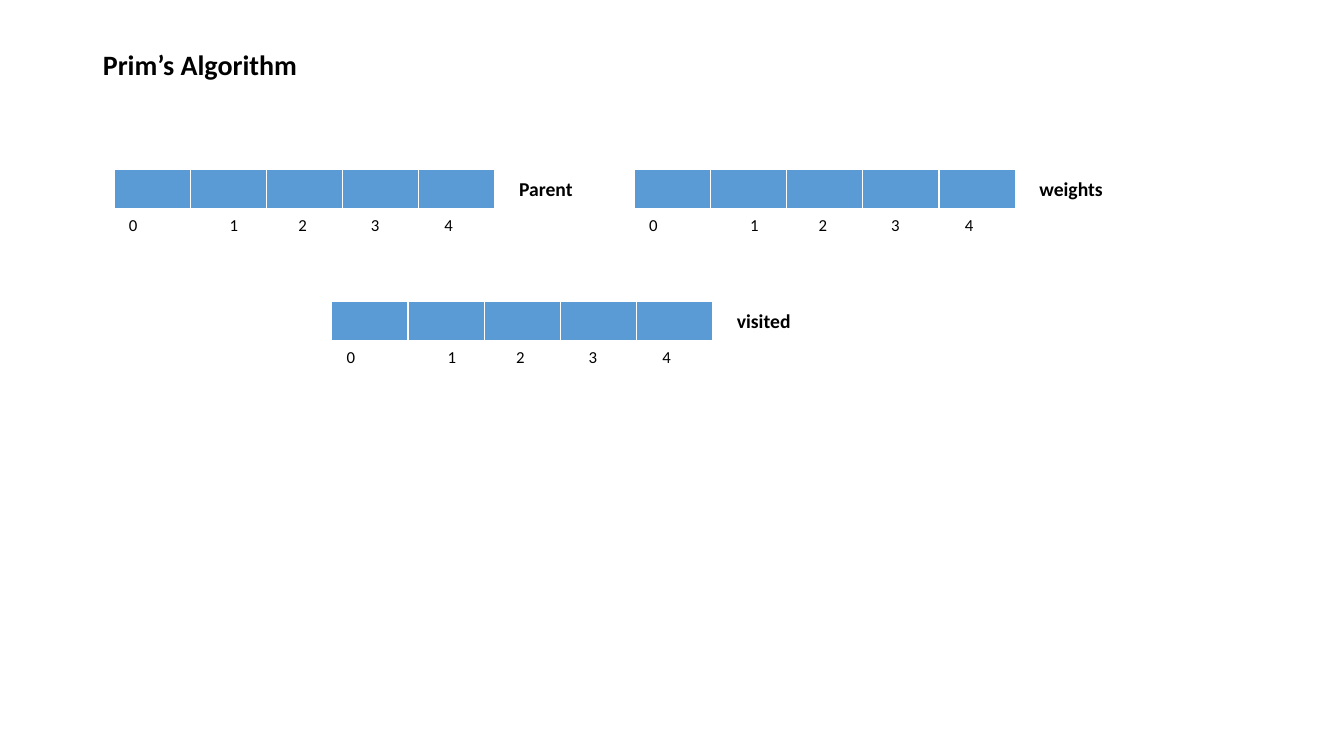
from lxml import etree
from pptx import Presentation
from pptx.dml.color import RGBColor
from pptx.enum.text import MSO_ANCHOR, MSO_AUTO_SIZE, PP_ALIGN
from pptx.oxml.ns import qn
from pptx.util import Inches, Pt

LEFT = PP_ALIGN.LEFT
MIDDLE = MSO_ANCHOR.MIDDLE
GROW = MSO_AUTO_SIZE.SHAPE_TO_FIT_TEXT
NO_RESIZE = MSO_AUTO_SIZE.NONE

BLACK = RGBColor(0x00, 0x00, 0x00)
WHITE = RGBColor(0xFF, 0xFF, 0xFF)
CELL_BLUE = RGBColor(0x5B, 0x9B, 0xD5)

FONT = "Calibri"
TITLE_ONLY = 5
CELL_COUNT = 5
ARRAY_WIDTH, ARRAY_HEIGHT = 3.78, 0.4
INDEX_TABS = (1, 1.68, 2.4, 3.13)
BORDERS = {"a:lnL": 1, "a:lnR": 1, "a:lnT": 1, "a:lnB": 3}

# name, left, top, label width
ARRAYS = (
    ("Parent", 1.13, 1.68, 0.74),
    ("weights", 6.29, 1.68, 0.84),
    ("visited", 3.29, 2.99, 0.74),
)


def add_run(paragraph, text, size, bold=False):
    run = paragraph.add_run()
    run.text = text
    run.font.name = FONT
    run.font.size = Pt(size)
    run.font.bold = bold
    run.font.color.rgb = BLACK


def add_title(slide, text, left, top, width, height):
    title = slide.shapes.title
    title.left, title.top = Inches(left), Inches(top)
    title.width, title.height = Inches(width), Inches(height)
    frame = title.text_frame
    frame.auto_size = NO_RESIZE
    frame.vertical_anchor = MIDDLE
    paragraph = frame.paragraphs[0]
    paragraph.alignment = LEFT
    paragraph.line_spacing = 0.9
    add_run(paragraph, text, 20, bold=True)


def add_text(slide, text, size, left, top, width, height, bold=False, wrap=True):
    box = slide.shapes.add_textbox(
        Inches(left), Inches(top), Inches(width), Inches(height))
    frame = box.text_frame
    frame.word_wrap = wrap
    frame.auto_size = GROW
    paragraph = frame.paragraphs[0]
    add_run(paragraph, text, size, bold)
    return paragraph


def set_tab_stops(paragraph, positions):
    properties = paragraph._p.get_or_add_pPr()
    tab_list = etree.SubElement(properties, qn("a:tabLst"))
    for position in positions:
        etree.SubElement(tab_list, qn("a:tab"),
                         pos=str(Inches(position)), algn="l")


def set_borders(cell):
    properties = cell._tc.get_or_add_tcPr()
    for tag, width in BORDERS.items():
        line = etree.SubElement(properties, qn(tag), w=str(Pt(width)))
        fill = etree.SubElement(line, qn("a:solidFill"))
        etree.SubElement(fill, qn("a:srgbClr"), val=str(WHITE))


def add_cells(slide, left, top):
    table = slide.shapes.add_table(
        1, CELL_COUNT, Inches(left), Inches(top),
        Inches(ARRAY_WIDTH), Inches(ARRAY_HEIGHT)).table
    for cell in table.iter_cells():
        set_borders(cell)
        cell.fill.solid()
        cell.fill.fore_color.rgb = CELL_BLUE


def add_array(slide, name, left, top, label_width):
    """Draw a row of cells with indices below and its name to the right."""
    add_cells(slide, left, top)
    indices = "\t".join(str(index) for index in range(CELL_COUNT))
    paragraph = add_text(slide, indices, 12, left + 0.05, top + ARRAY_HEIGHT,
                         3.72, 0.3)
    set_tab_stops(paragraph, INDEX_TABS)
    add_text(slide, name, 14, left + 3.92, top + 0.03, label_width, 0.34,
             bold=True, wrap=False)


def main():
    presentation = Presentation()
    presentation.slide_width = Inches(13.33)
    presentation.slide_height = Inches(7.5)
    slide = presentation.slides.add_slide(
        presentation.slide_layouts[TITLE_ONLY])
    add_title(slide, "Prim’s Algorithm", 0.92, 0.4, 11.5, 0.51)
    for name, left, top, label_width in ARRAYS:
        add_array(slide, name, left, top, label_width)
    presentation.save("out.pptx")


if __name__ == "__main__":
    main()
